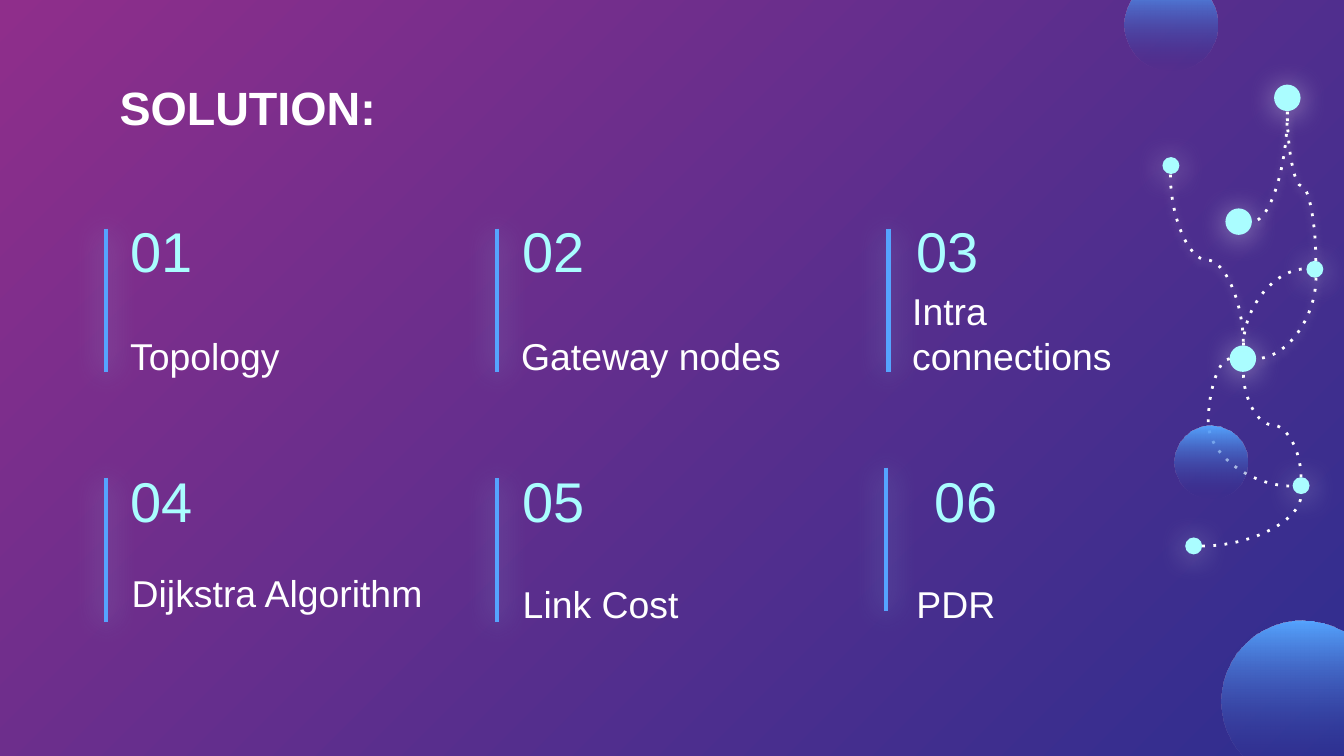
from lxml.etree import SubElement
from pptx import Presentation
from pptx.dml.color import RGBColor
from pptx.enum.dml import MSO_LINE
from pptx.enum.shapes import MSO_CONNECTOR, MSO_SHAPE
from pptx.enum.text import MSO_ANCHOR
from pptx.oxml.ns import qn
from pptx.util import Cm, Pt

COLORS = {
    "purple": "8F2E8B",
    "navy": "2E2E8F",
    "white": "FFFFFF",
    "aqua": "AAFDFF",
    "blue": "55A4FF",
}
WIDE_BLUR, TIGHT_BLUR = Pt(15.8), Pt(4.5)
BAR_HEIGHT = 2.71
BIG_NODE, SMALL_NODE = 0.5, 0.32

ITEMS = [
    # number, its left and top, label lines, label box, bar left and top
    ("01", (2.21, 4.11), ["Topology"], (2.21, 5.38, 6.4, 2.01), (2.01, 4.32)),
    ("02", (9.63, 4.11), ["Gateway nodes"], (9.6, 5.38, 6.4, 2.01), (9.4, 4.32)),
    ("03", (17.07, 4.11), ["Intra", "connections"], (16.99, 5.38, 7.34, 2.01), (16.79, 4.32)),
    ("04", (2.21, 8.84), ["Dijkstra Algorithm"], (2.24, 9.8, 6.91, 2.08), (2.01, 9.04)),
    ("05", (9.63, 8.84), ["Link Cost"], (9.63, 10.64, 6.4, 1.45), (9.4, 9.04)),
    ("06", (17.42, 8.84), ["PDR"], (17.07, 10.64, 6.4, 1.45), (16.74, 8.84)),
]
NODES = [
    (23.16, 3.94, BIG_NODE), (23.24, 6.53, BIG_NODE), (24.08, 1.6, BIG_NODE),
    (21.97, 2.97, SMALL_NODE), (24.69, 4.93, SMALL_NODE),
    (24.43, 9.02, SMALL_NODE), (22.4, 10.16, SMALL_NODE),
]
CURVES = [
    # start, end, rotation, mirrored, preset, bend, blur
    ((23.5, 6.53), (24.69, 5.08), 270, False, "curvedConnector2", None, None),
    ((22.12, 3.3), (23.5, 6.53), 270, True, "curvedConnector3", 0.5, TIGHT_BLUR),
    ((24.87, 4.93), (24.33, 2.11), 90, True, "curvedConnector3", 0.5, TIGHT_BLUR),
    ((24.87, 5.25), (23.74, 6.78), 90, False, "curvedConnector2", None, TIGHT_BLUR),
    ((24.33, 2.11), (23.67, 4.19), 90, False, "curvedConnector2", None, TIGHT_BLUR),
    ((23.24, 6.78), (24.43, 9.19), 0, False, "curvedConnector3", -0.34, None),
    ((22.72, 10.32), (24.59, 9.35), 180, True, "curvedConnector2", None, None),
    ((24.59, 9.02), (23.5, 7.04), 90, True, "curvedConnector3", 0.5, None),
]
ORBS = [(21.26, -0.41, 1.75), (23.09, 11.73, 3.05), (22.2, 8.05, 1.37)]


def color(name):
    return RGBColor.from_string(COLORS[name])


def set_gradient(fill, names, angle):
    fill.gradient()
    fill.gradient_angle = 360 - angle
    for stop, name in zip(fill.gradient_stops, names):
        stop.color.rgb = color(name)


def set_glow(shape, name, blur):
    properties = shape._element.spPr
    effects = properties.find(qn("a:effectLst"))
    if effects is None:
        effects = SubElement(properties, qn("a:effectLst"))
    if blur:
        shadow = SubElement(effects, qn("a:outerShdw"), blurRad=str(int(blur)),
                            dist=str(int(Pt(1.5))), dir="5400000", algn="bl", rotWithShape="0")
        tint = SubElement(shadow, qn("a:srgbClr"), val=COLORS[name])
        SubElement(tint, qn("a:alpha"), val="50000")


def add_text(slide, box, lines, size, color_name, anchor, bold=False):
    frame = slide.shapes.add_textbox(*map(Cm, box)).text_frame
    frame.word_wrap = True
    frame.vertical_anchor = anchor
    frame.margin_left = frame.margin_right = Cm(0.25)
    frame.margin_top = frame.margin_bottom = Cm(0.25)
    for index, line in enumerate(lines):
        paragraph = frame.add_paragraph() if index else frame.paragraphs[0]
        run = paragraph.add_run()
        run.text = line
        run.font.name = "Arial"
        run.font.size = Pt(size)
        run.font.bold = bold
        run.font.color.rgb = color(color_name)


def add_bar(slide, left, top):
    bar = slide.shapes.add_connector(
        MSO_CONNECTOR.STRAIGHT, Cm(left), Cm(top), Cm(left), Cm(top + BAR_HEIGHT))
    bar.line.color.rgb = color("blue")
    bar.line.width = Pt(2.25)
    set_glow(bar, "aqua", WIDE_BLUR)


def add_circle(slide, left, top, size):
    circle = slide.shapes.add_shape(MSO_SHAPE.OVAL, Cm(left), Cm(top), Cm(size), Cm(size))
    circle.shadow.inherit = False
    circle.line.fill.background()
    return circle


def add_node(slide, left, top, size):
    node = add_circle(slide, left, top, size)
    node.fill.solid()
    node.fill.fore_color.rgb = color("aqua")
    set_glow(node, "white", WIDE_BLUR)


def add_orb(slide, left, top, size):
    orb = add_circle(slide, left, top, size)
    set_gradient(orb.fill, ("blue", "navy"), 90)
    last_color = orb._element.spPr.findall(".//" + qn("a:srgbClr"))[-1]
    SubElement(last_color, qn("a:alpha"), val="0")


def add_curve(slide, start, end, rotation, mirrored, preset, bend, blur):
    """Place the unrotated frame around the midpoint, so that rotation brings the ends home."""
    width, height = (abs(b - a) for a, b in zip(start, end))
    if rotation % 180:
        width, height = height, width
    left = (start[0] + end[0] - width) / 2
    top = (start[1] + end[1] - height) / 2
    curve = slide.shapes.add_connector(
        MSO_CONNECTOR.CURVE, Cm(left), Cm(top), Cm(left + width), Cm(top + height))
    curve.line.color.rgb = color("white")
    curve.line.width = Pt(1.5)
    curve.line.dash_style = MSO_LINE.ROUND_DOT
    properties = curve._element.spPr
    properties.find(".//" + qn("a:prstDash")).set("val", "dot")
    frame = properties.find(qn("a:xfrm"))
    frame.set("rot", str(rotation * 60000))
    if mirrored:
        frame.set("flipH", "1")
    geometry = properties.find(qn("a:prstGeom"))
    geometry.set("prst", preset)
    if bend is not None:
        SubElement(geometry.find(qn("a:avLst")), qn("a:gd"),
                   name="adj1", fmla=f"val {round(bend * 100000)}")
    set_glow(curve, "white", blur)


def main():
    presentation = Presentation()
    presentation.slide_width, presentation.slide_height = Cm(25.4), Cm(14.29)
    slide = presentation.slides.add_slide(presentation.slide_layouts[6])
    set_gradient(slide.background.fill, ("purple", "navy"), 45)

    add_text(slide, (2.01, 1.24, 21.41, 1.6), ["SOLUTION:"], 25, "white", MSO_ANCHOR.TOP, True)
    for number, corner, lines, box, bar in ITEMS:
        add_text(slide, (*corner, 2.84, 1.24), [number], 30, "aqua", MSO_ANCHOR.MIDDLE)
        add_text(slide, box, lines, 20, "white", MSO_ANCHOR.BOTTOM)
        add_bar(slide, *bar)
    for node in NODES:
        add_node(slide, *node)
    for curve in CURVES:
        add_curve(slide, *curve)
    for orb in ORBS:
        add_orb(slide, *orb)
    presentation.save("out.pptx")


if __name__ == "__main__":
    main()
